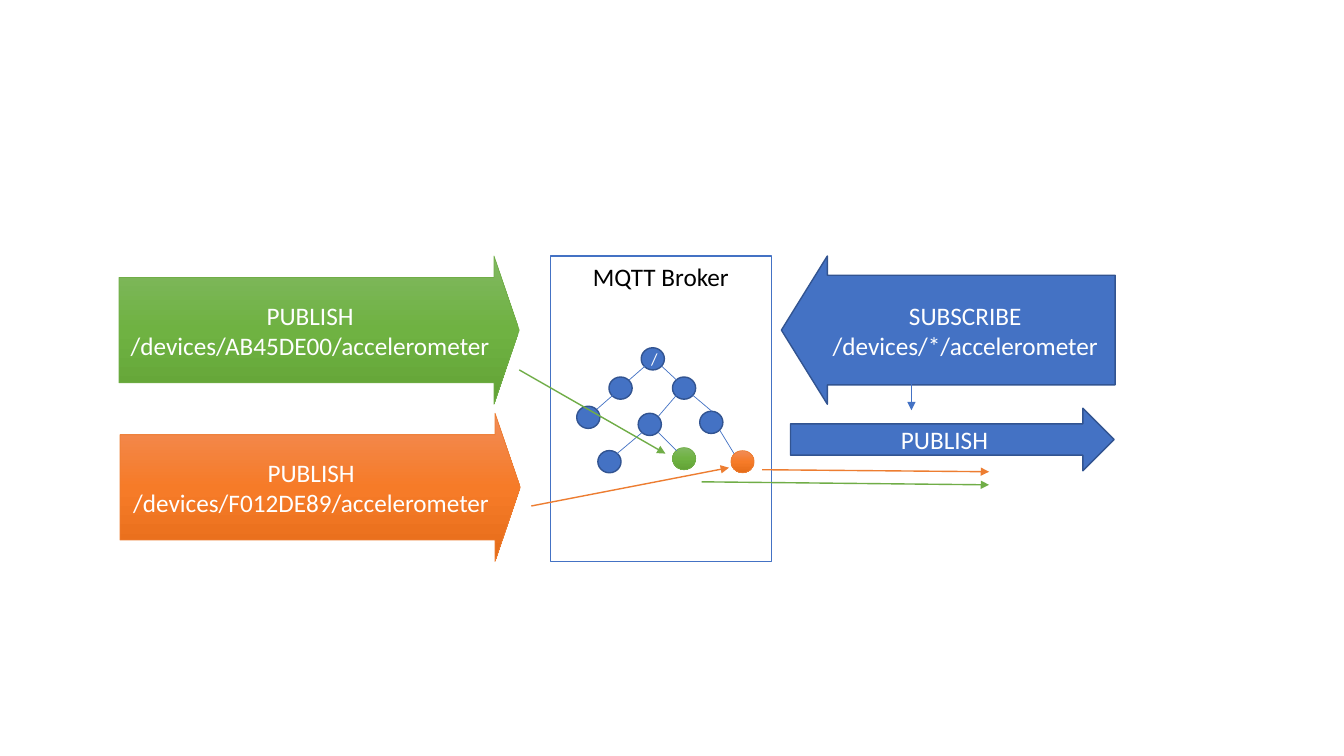
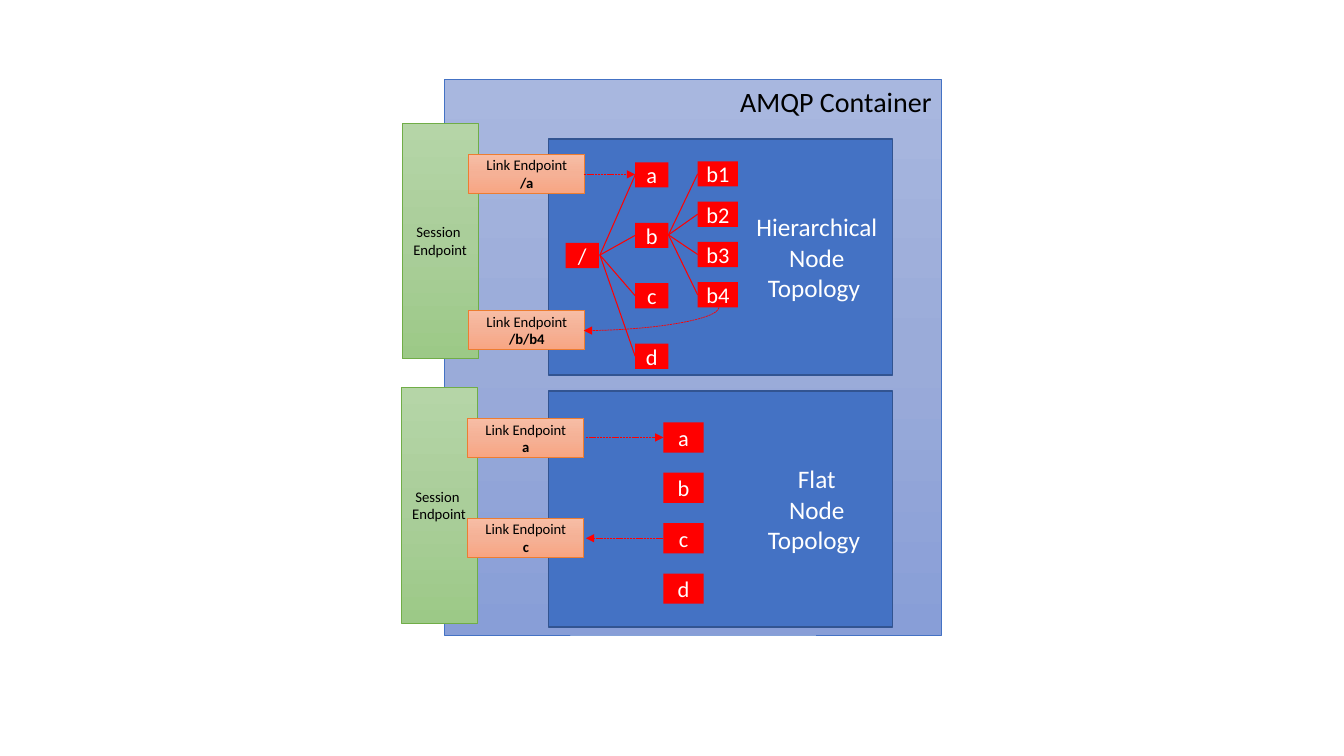
from copy import deepcopy

from lxml import etree
from pptx import Presentation
from pptx import util as u
from pptx.dml.color import RGBColor
from pptx.enum import dml, shapes, text
from pptx.oxml import ns

BLUE = RGBColor(0x44, 0x72, 0xC4)
NAVY = RGBColor(0x32, 0x54, 0x91)
GREEN = RGBColor(0x70, 0xAD, 0x47)
ORANGE = RGBColor(0xED, 0x7D, 0x31)
RED = RGBColor(0xFF, 0x00, 0x00)
WHITE = RGBColor(0xFF, 0xFF, 0xFF)
BLACK = RGBColor(0x00, 0x00, 0x00)


def gradient(*codes):
    """Return the colours of a top-to-bottom gradient."""
    return [RGBColor.from_string(code) for code in codes]


GREEN_FADE = gradient("81B861", "6FB242", "62A336")
ORANGE_FADE = gradient("F18C57", "F67B28", "E56C19")
PALE_BLUE = gradient("A8B7DF", "9AABD9", "889ED7")
PALE_GREEN = gradient("B5D5A7", "AACE9A", "9CC987")
PALE_ORANGE = gradient("F7BDA5", "F5B196", "F8A582")

SOLID = {"fill": BLUE, "line": NAVY, "width": 1}
GREEN_STYLE = {"fill": GREEN_FADE, "line": GREEN}
ORANGE_STYLE = {"fill": ORANGE_FADE, "line": ORANGE}
SHAPE = shapes.MSO_SHAPE
ALIGN = text.PP_ALIGN
ANCHOR = text.MSO_ANCHOR


class Diagram:
    """Hold the shared style and the slide being drawn."""

    font = "Calibri"

    def __init__(self, presentation):
        """Start with a presentation and no slide."""
        self.presentation = presentation
        self.slide = None

    def new_slide(self):
        """Add a blank slide and make it current."""
        self.slide = self.presentation.slides.add_slide(self.presentation.slide_layouts[6])

    def paint(self, shape, fill):
        """Fill a shape with one colour or an evenly spaced gradient."""
        if not isinstance(fill, list):
            shape.fill.solid()
            shape.fill.fore_color.rgb = fill
            return
        shape.fill.gradient()
        shape.fill.gradient_angle = 270
        stops = shape._element.spPr.find(".//" + ns.qn("a:gsLst"))
        stops.append(deepcopy(stops[0]))
        for index, (stop, color) in enumerate(zip(shape.fill.gradient_stops, fill)):
            stop.position = index / (len(fill) - 1)
            stop.color.rgb = color

    def box(self, kind, left, top, width, height, fill, line=None, width_pt=0.5,
            adjustments=()):
        """Draw a preset shape, sized in inches."""
        shape = self.slide.shapes.add_shape(
            kind, *map(u.Inches, (left, top, width, height)))
        shape.shadow.inherit = False
        for index, value in enumerate(adjustments):
            shape.adjustments[index] = value
        self.paint(shape, fill)
        if line is None:
            shape.line.fill.background()
        else:
            shape.line.color.rgb = line
            shape.line.width = u.Pt(width_pt)
        return shape

    def styled(self, kind, place, style, **options):
        """Draw a shape from a style dictionary."""
        return self.box(kind, *place, style["fill"], style["line"],
                        style.get("width", 0.5), **options)

    def caption(self, shape, words, size=18, color=WHITE, align=ALIGN.CENTER,
                anchor=ANCHOR.MIDDLE, margins=(0.1, 0.05, 0.1, 0.05), bold_last=False):
        """Put text in a shape, one paragraph for each line."""
        frame = shape.text_frame
        frame.text = words
        sides = ("left", "top", "right", "bottom")
        layout = {f"margin_{side}": u.Inches(gap) for side, gap in zip(sides, margins)}
        layout.update(word_wrap=True, vertical_anchor=anchor)
        for name, value in layout.items():
            setattr(frame, name, value)
        for paragraph in frame.paragraphs:
            paragraph.alignment = align
            for run in paragraph.runs:
                for name, value in {"name": self.font, "size": u.Pt(size)}.items():
                    setattr(run.font, name, value)
                run.font.color.rgb = color
        if bold_last:
            frame.paragraphs[-1].runs[0].font.bold = True

    def line(self, start, end, color, width=0.5, arrow=False, dashed=False):
        """Draw a straight line or arrow between two points."""
        connector = self.slide.shapes.add_connector(
            shapes.MSO_CONNECTOR.STRAIGHT, *map(u.Inches, (*start, *end)))
        connector.line.color.rgb = color
        connector.line.width = u.Pt(width)
        if dashed:
            connector.line.dash_style = dml.MSO_LINE.SQUARE_DOT
        if arrow:
            outline = connector._element.spPr.find(ns.qn("a:ln"))
            etree.SubElement(outline, ns.qn("a:tailEnd"), type="triangle")
        etree.SubElement(connector._element.spPr, ns.qn("a:effectLst"))
        return connector

    def curve_down_left(self, start, end, color):
        """Draw a dashed arrow that leaves downwards and bends to the left."""
        center_x, center_y = (start[0] + end[0]) / 2, (start[1] + end[1]) / 2
        half_x, half_y = (end[1] - start[1]) / 2, (start[0] - end[0]) / 2
        connector = self.line((center_x - half_x, center_y - half_y),
                              (center_x + half_x, center_y + half_y),
                              color, arrow=True, dashed=True)
        properties = connector._element.spPr
        properties.find(ns.qn("a:prstGeom")).set("prst", "curvedConnector2")
        properties.find(ns.qn("a:xfrm")).set("rot", "5400000")

    def node(self, label, left, top, width, height):
        """Draw a red topology node."""
        self.caption(self.box(SHAPE.RECTANGLE, left, top, width, height, RED),
                     label, 16, margins=(0, 0, 0, 0))

    def topology(self, name, top):
        """Draw a blue panel named at its right side."""
        panel = self.styled(SHAPE.RECTANGLE, (5.44, top, 3.41, 2.34), SOLID)
        self.caption(panel, f"{name}\nNode\nTopology ", margins=(2.01, 0.05, 0.1, 0.05))

    def session(self, left, top, links):
        """Draw a session endpoint with its link endpoints."""
        session = self.box(SHAPE.RECTANGLE, left, top, 0.75, 2.34, PALE_GREEN, GREEN)
        self.caption(session, "Session \nEndpoint", 10.5, BLACK)
        for address, link_top in links:
            link = self.box(SHAPE.RECTANGLE, left + 0.66, link_top, 1.15, 0.39,
                            PALE_ORANGE, ORANGE)
            self.caption(link, f"Link Endpoint\n{address}", 10.5, BLACK, bold_last=True)


def draw_broker(diagram):
    """Draw the MQTT broker between publishers and a subscriber."""
    diagram.new_slide()
    broker = diagram.box(SHAPE.RECTANGLE, 5.46, 2.54, 2.19, 3.03, WHITE, BLUE, 1)
    diagram.caption(broker, "MQTT Broker", color=BLACK, anchor=ANCHOR.TOP)

    root = diagram.styled(SHAPE.OVAL, (6.36, 3.45, 0.23, 0.22), SOLID)
    diagram.caption(root, "/", 12)
    topics = [(6.04, 3.74, SOLID), (5.72, 4.03, SOLID), (6.67, 3.74, SOLID),
              (6.94, 4.08, SOLID), (6.33, 4.1, SOLID), (5.93, 4.47, SOLID),
              (6.67, 4.44, GREEN_STYLE), (7.25, 4.47, ORANGE_STYLE)]
    for left, top, style in topics:
        diagram.styled(SHAPE.OVAL, (left, top, 0.23, 0.22), style)
    branches = [((6.4, 3.63), (6.24, 3.77)), ((6.08, 3.92), (5.92, 4.06)),
                ((6.56, 3.63), (6.71, 3.77)), ((6.87, 3.92), (7.06, 4.08)),
                ((6.71, 3.92), (6.53, 4.13)), ((6.37, 4.29), (6.12, 4.5)),
                ((6.53, 4.29), (6.71, 4.47)), ((7.14, 4.27), (7.28, 4.5))]
    for start, end in branches:
        diagram.line(start, end, BLUE)

    messages = [
        (SHAPE.RIGHT_ARROW, (1.18, 2.54, 3.97, 1.47), GREEN_STYLE, (0.71, 0.17),
         "PUBLISH /devices/AB45DE00/accelerometer"),
        (SHAPE.RIGHT_ARROW, (1.19, 4.1, 3.97, 1.47), ORANGE_STYLE, (0.71, 0.17),
         "PUBLISH /devices/F012DE89/accelerometer"),
        (SHAPE.LEFT_ARROW, (7.75, 2.54, 3.31, 1.47), SOLID, (0.74, 0.31),
         "SUBSCRIBE\n/devices/*/accelerometer"),
        (SHAPE.RIGHT_ARROW, (7.84, 4.05, 3.21, 0.62), SOLID, (), "PUBLISH"),
    ]
    for kind, place, style, adjustments, words in messages:
        arrow = diagram.styled(kind, place, style, adjustments=adjustments)
        diagram.caption(arrow, words)

    flows = [((9.04, 3.75), (9.04, 4.07), BLUE, 0.5),
             ((5.15, 3.67), (6.6, 4.5), GREEN, 1),
             ((5.27, 5.02), (7.23, 4.64), ORANGE, 1),
             ((7.56, 4.66), (9.81, 4.68), ORANGE, 1),
             ((6.96, 4.78), (9.81, 4.81), GREEN, 1)]
    for start, end, color, width in flows:
        diagram.line(start, end, color, width, arrow=True)


def draw_container(diagram):
    """Draw the AMQP container with its two topologies."""
    diagram.new_slide()
    container = diagram.box(SHAPE.RECTANGLE, 4.41, 0.79, 4.93, 5.51, PALE_BLUE, BLUE)
    diagram.caption(container, "AMQP Container", 20, BLACK, ALIGN.RIGHT, ANCHOR.TOP)

    diagram.topology("Hierarchical", 1.38)
    node_height = 0.25
    diagram.node("/", 5.61, 2.41, 0.33, node_height)
    for index, label in enumerate("abcd"):
        child_top = 1.61 + 0.6 * index
        leaf_top = 1.6 + 0.4 * index
        diagram.node(label, 6.3, child_top, 0.33, node_height)
        diagram.node(f"b{index + 1}", 6.92, leaf_top, 0.4, node_height)
        diagram.line((5.95, 2.53), (6.3, child_top + node_height / 2), RED, 0.75)
        diagram.line((6.63, 2.33), (6.92, leaf_top + node_height / 2), RED, 0.75)

    diagram.topology("Flat", 3.88)
    for index, label in enumerate("abcd"):
        diagram.node(label, 6.58, 4.19 + 0.5 * index, 0.4, 0.3)

    diagram.session(3.99, 1.22, [("/a", 1.53), ("/b/b4", 3.08)])
    diagram.session(3.98, 3.84, [("a", 4.15), ("c", 5.14)])
    transfers = [((5.79, 1.73), (6.3, 1.73)), ((5.81, 4.34), (6.58, 4.34)),
                 ((6.58, 5.34), (5.81, 5.34))]
    for start, end in transfers:
        diagram.line(start, end, RED, arrow=True, dashed=True)
    diagram.curve_down_left((7.13, 3.05), (5.79, 3.28), RED)


def main():
    """Build and save the presentation."""
    presentation = Presentation()
    presentation.slide_width = u.Inches(13.33)
    presentation.slide_height = u.Inches(7.5)
    diagram = Diagram(presentation)
    draw_broker(diagram)
    draw_container(diagram)
    presentation.save("out.pptx")


main()
